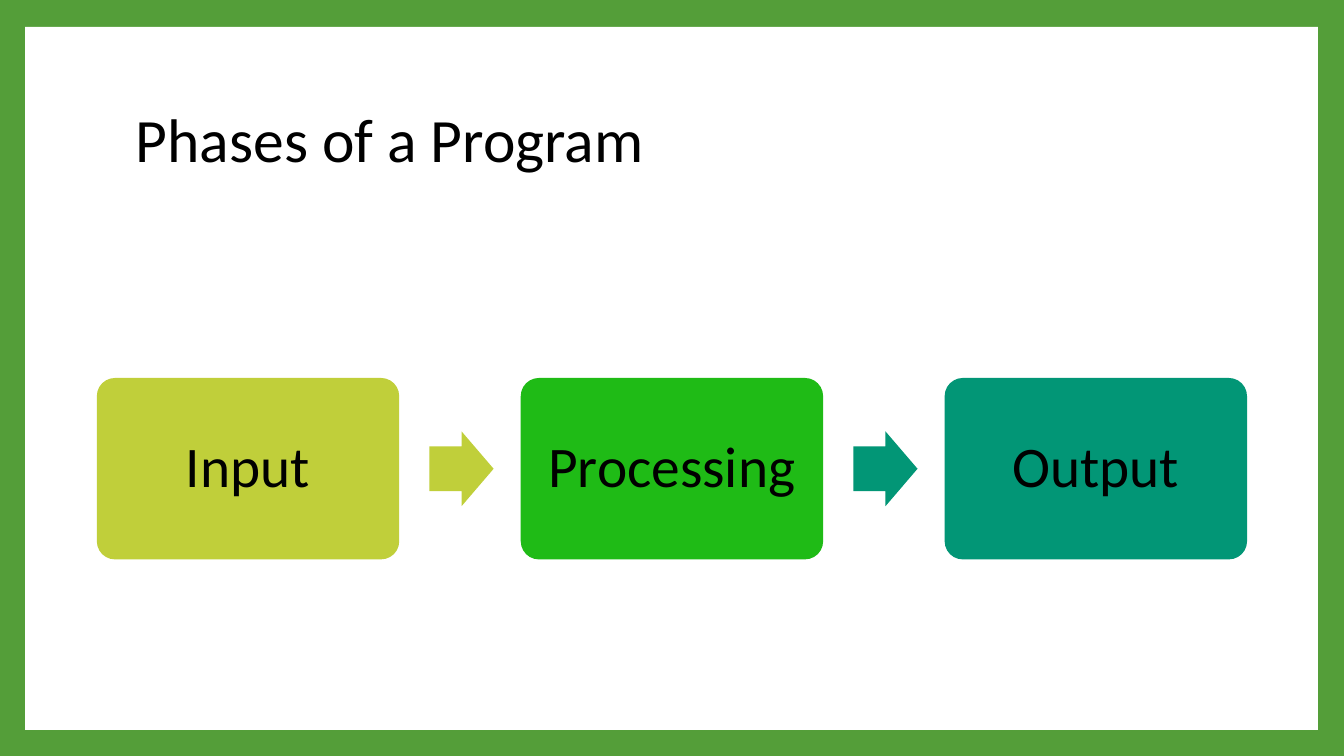
from pptx import Presentation
from pptx.dml.color import RGBColor
from pptx.enum.shapes import MSO_SHAPE
from pptx.enum.text import MSO_ANCHOR, PP_ALIGN
from pptx.util import Pt

RECTANGLE = MSO_SHAPE.RECTANGLE
ROUNDED = MSO_SHAPE.ROUNDED_RECTANGLE
ARROW = MSO_SHAPE.RIGHT_ARROW
MIDDLE = MSO_ANCHOR.MIDDLE
LEFT, CENTER = PP_ALIGN.LEFT, PP_ALIGN.CENTER

COLORS = {
    "frame": "549E39",
    "panel": "FFFFFF",
    "text": "000000",
    "input": "C0CF3A",
    "processing": "1FBB16",
    "output": "029676",
}
PHASES = [("Input", "input"), ("Processing", "processing"), ("Output", "output")]
ARROW_COLORS = ["input", "output"]
FIRST_LEFT, PHASE_PITCH, ARROW_OFFSET = 69.2, 302.8, 237.6


def color(name):
    return RGBColor.from_string(COLORS[name])


def add_block(slide, kind, box, fill, adjustments=()):
    block = slide.shapes.add_shape(kind, *map(Pt, box))
    block.shadow.inherit = False
    block.fill.solid()
    block.fill.fore_color.rgb = color(fill)
    block.line.fill.background()
    for index, value in enumerate(adjustments):
        block.adjustments[index] = value
    return block


def write(holder, text, size, align, inset_x, inset_y):
    frame = holder.text_frame
    frame_format = {
        "word_wrap": True,
        "vertical_anchor": MIDDLE,
        "margin_left": Pt(inset_x),
        "margin_right": Pt(inset_x),
        "margin_top": Pt(inset_y),
        "margin_bottom": Pt(inset_y),
    }
    for name, value in frame_format.items():
        setattr(frame, name, value)
    paragraph = frame.paragraphs[0]
    paragraph.alignment = align
    paragraph.line_spacing = 0.9
    run = paragraph.add_run()
    run.text = text
    for name, value in {"name": "Calibri", "size": Pt(size)}.items():
        setattr(run.font, name, value)
    run.font.color.rgb = color("text")


def add_title(slide, text):
    title = slide.shapes.add_textbox(Pt(90), Pt(48.2), Pt(777.6), Pt(106.6))
    write(title, text, 44, LEFT, 7.2, 3.6)


def add_phase(slide, left, text, fill):
    phase = add_block(slide, ROUNDED, (left, 270, 216, 129.6), fill, [0.1])
    write(phase, text, 41, CENTER, 15.8, 15.8)


def add_arrow(slide, left, fill):
    add_block(slide, ARROW, (left, 308.1, 45.8, 53.5), fill, [0.6, 0.5])


def main():
    deck = Presentation()
    deck.slide_width, deck.slide_height = Pt(960), Pt(540)
    slide = deck.slides.add_slide(deck.slide_layouts[6])
    slide.background.fill.solid()
    slide.background.fill.fore_color.rgb = color("frame")
    add_block(slide, RECTANGLE, (18, 19.2, 923.4, 502.1), "panel")
    add_title(slide, "Phases of a Program")
    for index, (text, fill) in enumerate(PHASES):
        add_phase(slide, FIRST_LEFT + index * PHASE_PITCH, text, fill)
    for index, fill in enumerate(ARROW_COLORS):
        add_arrow(slide, FIRST_LEFT + ARROW_OFFSET + index * PHASE_PITCH, fill)
    deck.save("out.pptx")


if __name__ == "__main__":
    main()
